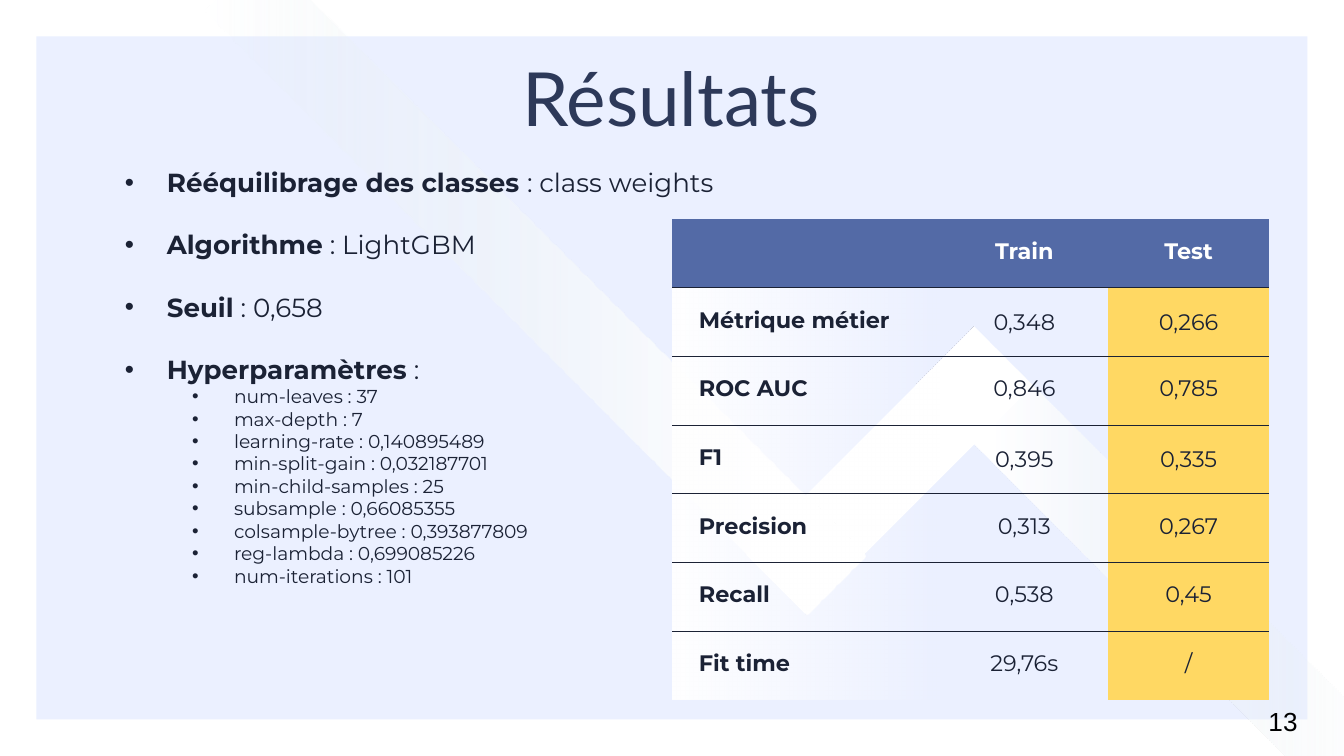
from lxml import etree
from pptx import Presentation
from pptx.dml.color import RGBColor
from pptx.enum.shapes import MSO_SHAPE
from pptx.enum.text import MSO_ANCHOR, PP_ALIGN
from pptx.oxml.ns import qn
from pptx.util import Pt

RECTANGLE = MSO_SHAPE.RECTANGLE
CENTER, LEFT = PP_ALIGN.CENTER, PP_ALIGN.LEFT
MIDDLE, BOTTOM = MSO_ANCHOR.MIDDLE, MSO_ANCHOR.BOTTOM

INK, NAVY, BLUE = "1B2235", "2D3959", "536AA6"
PALE, MIST, YELLOW, WHITE, BLACK = "EBF0FF", "E4EDF1", "FFD863", "FFFFFF", "000000"
BODY_FONT = "Montserrat"

SETTINGS = [
    ("Rééquilibrage des classes ", ": class weights"),
    ("Algorithme", " : LightGBM"),
    ("Seuil", " : 0,658"),
    ("Hyperparamètres", " :"),
]
HYPERPARAMETERS = [
    "num-leaves : 37",
    "max-depth : 7",
    "learning-rate : 0,140895489",
    "min-split-gain : 0,032187701",
    "min-child-samples : 25",
    "subsample : 0,66085355",
    "colsample-bytree : 0,393877809",
    "reg-lambda : 0,699085226",
    "num-iterations : 101",
]
SCORES = [
    ("", "Train", "Test"),
    ("Métrique métier", "0,348", "0,266"),
    ("ROC AUC", "0,846", "0,785"),
    ("F1", "0,395", "0,335"),
    ("Precision", "0,313", "0,267"),
    ("Recall", "0,538", "0,45"),
    ("Fit time", "29,76s", "/"),
]
LOWERED_ROWS = (1, 3)


def color(value):
    return RGBColor.from_string(value)


def add_node(parent, tag, **attributes):
    node = etree.SubElement(parent, qn(tag))
    for name, value in attributes.items():
        node.set(name, str(value))
    return node


def add_gradient(parent, stops, angle):
    gradient = add_node(parent, "a:gradFill", rotWithShape=1)
    stop_list = add_node(gradient, "a:gsLst")
    for position, value, opacity in stops:
        stop = add_node(stop_list, "a:gs", pos=position * 1000)
        shade = add_node(stop, "a:srgbClr", val=value)
        add_node(shade, "a:alpha", val=opacity * 1000)
    add_node(gradient, "a:lin", ang=angle * 60000, scaled=0)


def format_span(span, size, value, font=BODY_FONT, bold=False):
    span.font.size = Pt(size)
    span.font.name = font
    span.font.bold = bold
    span.font.color.rgb = color(value)


def set_insets(target, side, top, bottom):
    target.margin_left = target.margin_right = Pt(side)
    target.margin_top, target.margin_bottom = Pt(top), Pt(bottom)


def add_rectangle(page, box, fill):
    shape = page.shapes.add_shape(RECTANGLE, *map(Pt, box))
    shape.shadow.inherit = False
    shape.line.fill.background()
    shape.fill.solid()
    shape.fill.fore_color.rgb = color(fill)
    return shape


def add_fading_band(page, box, rotation):
    band = add_rectangle(page, box, WHITE)
    band.rotation = rotation
    properties = band.element.spPr
    properties.find(qn("a:xfrm")).set("flipH", "1")
    solid = properties.find(qn("a:solidFill"))
    add_gradient(properties, [(0, MIST, 0), (83, WHITE, 100), (100, WHITE, 100)], 315)
    properties.replace(solid, properties[-1])


def add_backdrop(page, box):
    left, top, width, height = box
    margin = 19.5
    panel = (left + margin, top + margin, width - 2 * margin, height - 2 * margin)
    add_rectangle(page, panel, PALE)
    add_fading_band(page, (left + 592, top + 146, 44.6, 306), 315)
    link = add_rectangle(page, (left + 454.3, top + 165.6, 44.6, 172.8), WHITE)
    link.rotation = 45
    add_fading_band(page, (left + 264.2, top - 77, 44.6, 457.2), 135)


def add_title(page, box, text):
    title = page.shapes.title
    page.shapes.element.append(title.element)
    title.left, title.top, title.width, title.height = map(Pt, box)
    frame = title.text_frame
    frame.text = text
    frame.vertical_anchor = BOTTOM
    set_insets(frame, 7.2, 7.2, 7.2)
    para = frame.paragraphs[0]
    para.alignment = CENTER
    format_span(para.runs[0], 40, NAVY, "Lato")


def set_bullet(para, margin):
    properties = para._p.get_or_add_pPr()
    properties.set("marL", str(Pt(margin)))
    properties.set("indent", str(-Pt(22.5)))
    add_node(add_node(properties, "a:buClr"), "a:srgbClr", val=INK)
    add_node(properties, "a:buFont", typeface="Arial")
    add_node(properties, "a:buChar", char="•")


def add_settings(page, box):
    frame = page.shapes.add_textbox(*map(Pt, box)).text_frame
    frame.word_wrap = True
    set_insets(frame, 7.2, 7.2, 7.2)
    for index, (label, value) in enumerate(SETTINGS):
        para = frame.add_paragraph() if index else frame.paragraphs[0]
        para.space_before = Pt(16.6 if index else 0)
        set_bullet(para, 22.5)
        for text, bold in ((label, True), (value, False)):
            span = para.add_run()
            span.text = text
            format_span(span, 14, INK, bold=bold)
    for text in HYPERPARAMETERS:
        para = frame.add_paragraph()
        para.text = text
        para.level = 1
        set_bullet(para, 58.5)
        format_span(para.runs[0], 10, INK)


def set_borders(cell, above, below):
    properties = cell._tc.get_or_add_tcPr()
    for side, drawn in (("L", False), ("R", False), ("T", above), ("B", below)):
        line = add_node(properties, f"a:ln{side}", w=Pt(0.75))
        if drawn:
            add_node(add_node(line, "a:solidFill"), "a:srgbClr", val=INK)
        else:
            add_node(line, "a:noFill")


def fill_cell(cell, row, column):
    if row == 0 or column == 2:
        cell.fill.solid()
        cell.fill.fore_color.rgb = color(YELLOW if row else BLUE)
    elif column == 0:
        add_gradient(cell._tc.get_or_add_tcPr(), [(0, WHITE, 100), (100, WHITE, 0)], 0)
    else:
        cell.fill.background()


def add_scores(page, box):
    table = page.shapes.add_table(len(SCORES), 3, *map(Pt, box)).table
    table.first_row = table.horz_banding = False
    for column, share in zip(table.columns, (0.45, 0.28, 0.27)):
        column.width = Pt(box[2] * share)
    for row, texts in enumerate(SCORES):
        for column, text in enumerate(texts):
            cell = table.cell(row, column)
            cell.vertical_anchor = MIDDLE
            lowered = row in LOWERED_ROWS and column > 0
            set_insets(cell, 14.4, 7.2 if lowered else 5, 7.2)
            set_borders(cell, row > 0, row < len(SCORES) - 1)
            fill_cell(cell, row, column)
            if text:
                cell.text = text
                para = cell.text_frame.paragraphs[0]
                para.alignment = CENTER if column else LEFT
                format_span(para.runs[0], 12, INK if row else WHITE,
                            bold=row == 0 or column == 0)


def add_page_number(page, box, number):
    frame = page.shapes.add_textbox(*map(Pt, box)).text_frame
    frame.word_wrap = True
    frame.text = number
    format_span(frame.paragraphs[0].runs[0], 14, BLACK, "Arial")


def main():
    deck = Presentation()
    deck.slide_width, deck.slide_height = Pt(720), Pt(405)
    page = deck.slides.add_slide(deck.slide_layouts[5])
    add_backdrop(page, (0, 0, 720, 405))
    add_settings(page, (59.8, 82, 347.8, 247))
    add_title(page, (109.4, 26, 500.4, 56.9), "Résultats")
    add_scores(page, (360, 117.4, 320, 257.6))
    add_page_number(page, (672.5, 374.4, 47.5, 24.5), "13")
    deck.save("out.pptx")


if __name__ == "__main__":
    main()
